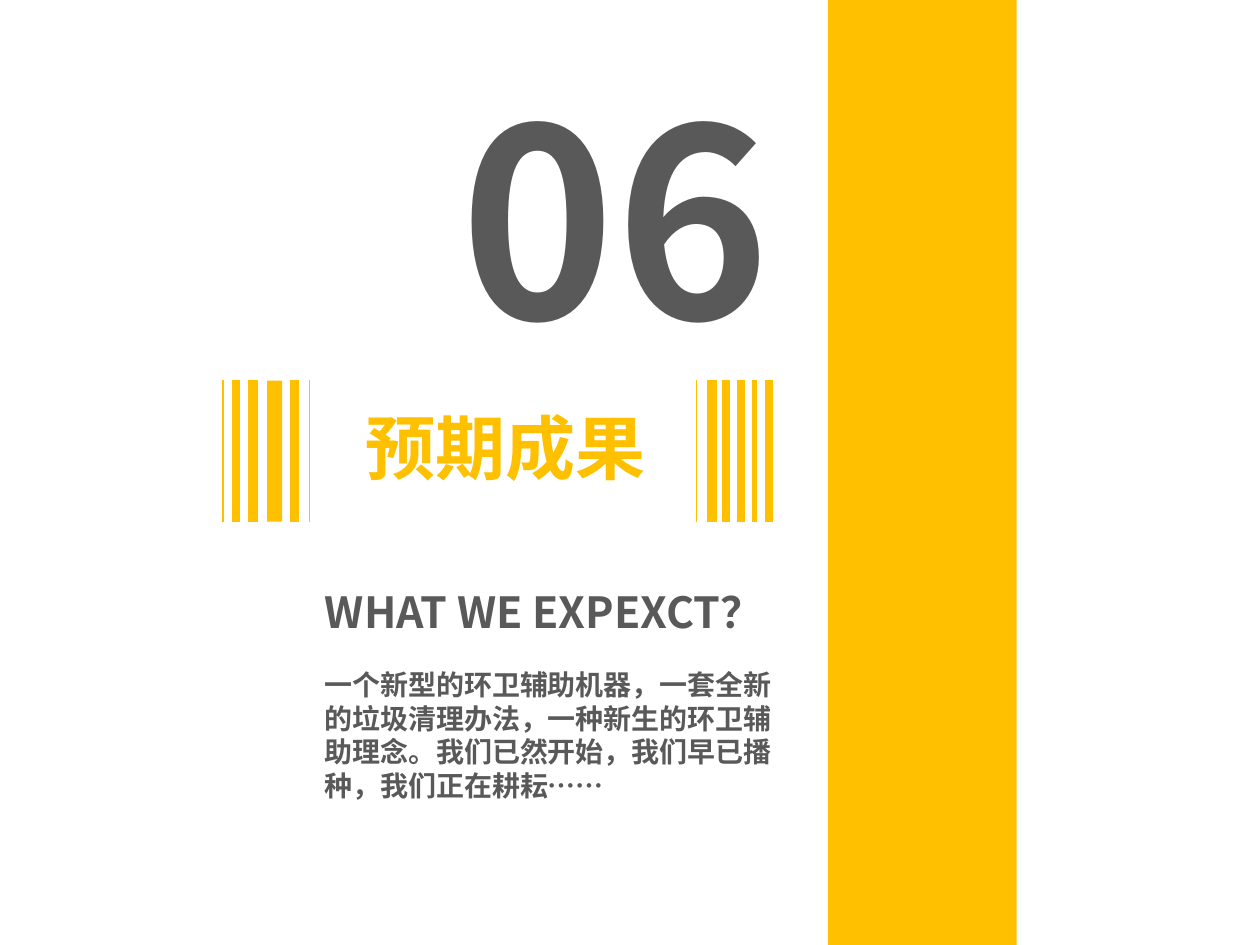
from lxml import etree
from pptx import Presentation
from pptx import util as u
from pptx.dml.color import RGBColor
from pptx.enum import shapes, text
from pptx.oxml.ns import qn

COLORS = {"accent": "FFC000", "text": "595959"}
CJK_FONT = "Noto Sans CJK SC"

HEADING = ("预期成果", (2.8, 3.16, 2.52, 0.77), 40, "Arial", "accent")
TEXTS = [
    ("06", (3.56, 0.4, 2.85, 2.72), 150, CJK_FONT, "text"),
    ("WHAT WE EXPEXCT？", (2.48, 4.6, 4.65, 0.48), 24.5, CJK_FONT, "text"),
    ("一个新型的环卫辅助机器，一套全新的垃圾清理办法，一种新生的环卫辅助理念。"
     "我们已然开始，我们早已播种，我们正在耕耘……",
     (2.48, 5.25, 3.83, 1.18), 16, CJK_FONT, "text"),
]
BAND = (6.57, 0, 1.5, 7.5)
STRIPE_TOP, STRIPE_BOTTOM = 3.02, 4.14
WIDE_STRIPE = (2.12, STRIPE_TOP, 0.12, STRIPE_BOTTOM - STRIPE_TOP)
# Horizontal position in inches and line width in points
STRIPES = [
    (1.77, 1.5), (1.87, 4.5), (2.01, 6), (2.34, 5), (2.455, 0.25),
    (5.53, 0.75), (5.65, 6), (5.76, 4.5), (5.88, 5), (5.99, 3), (6.1, 4.5),
]


def color(name):
    return RGBColor.from_string(COLORS[name])


def add_block(page, area):
    block = page.shapes.add_shape(shapes.MSO_SHAPE.RECTANGLE, *map(u.Inches, area))
    block.shadow.inherit = False
    block.fill.solid()
    block.fill.fore_color.rgb = color("accent")
    block.line.fill.background()


def add_stripe(page, x, width):
    stripe = page.shapes.add_connector(
        shapes.MSO_CONNECTOR.STRAIGHT,
        u.Inches(x), u.Inches(STRIPE_TOP), u.Inches(x), u.Inches(STRIPE_BOTTOM))
    stripe.line.color.rgb = color("accent")
    stripe.line.width = u.Pt(width)
    etree.SubElement(stripe._element.spPr, qn("a:effectLst"))


def write(box, wording, area, size, font, tone):
    box.left, box.top, box.width, box.height = map(u.Inches, area)
    frame = box.text_frame
    frame.word_wrap = True
    frame.auto_size = text.MSO_AUTO_SIZE.NONE
    frame.vertical_anchor = text.MSO_ANCHOR.TOP
    frame.text = wording
    para = frame.paragraphs[0]
    para.alignment = text.PP_ALIGN.LEFT
    span = para.runs[0]
    span.font.size = u.Pt(size)
    span.font.bold = True
    span.font.name = font
    span.font.color.rgb = color(tone)
    east_asian = etree.SubElement(span.font._element, qn("a:ea"))
    east_asian.set("typeface", CJK_FONT)


def main():
    deck = Presentation()
    deck.slide_width, deck.slide_height = u.Inches(10), u.Inches(7.5)
    page = deck.slides.add_slide(deck.slide_layouts[5])
    write(page.shapes.title, *HEADING)
    for area in (BAND, WIDE_STRIPE):
        add_block(page, area)
    for x, width in STRIPES:
        add_stripe(page, x, width)
    for item in TEXTS:
        write(page.shapes.add_textbox(0, 0, 0, 0), *item)
    deck.save("out.pptx")


if __name__ == "__main__":
    main()
